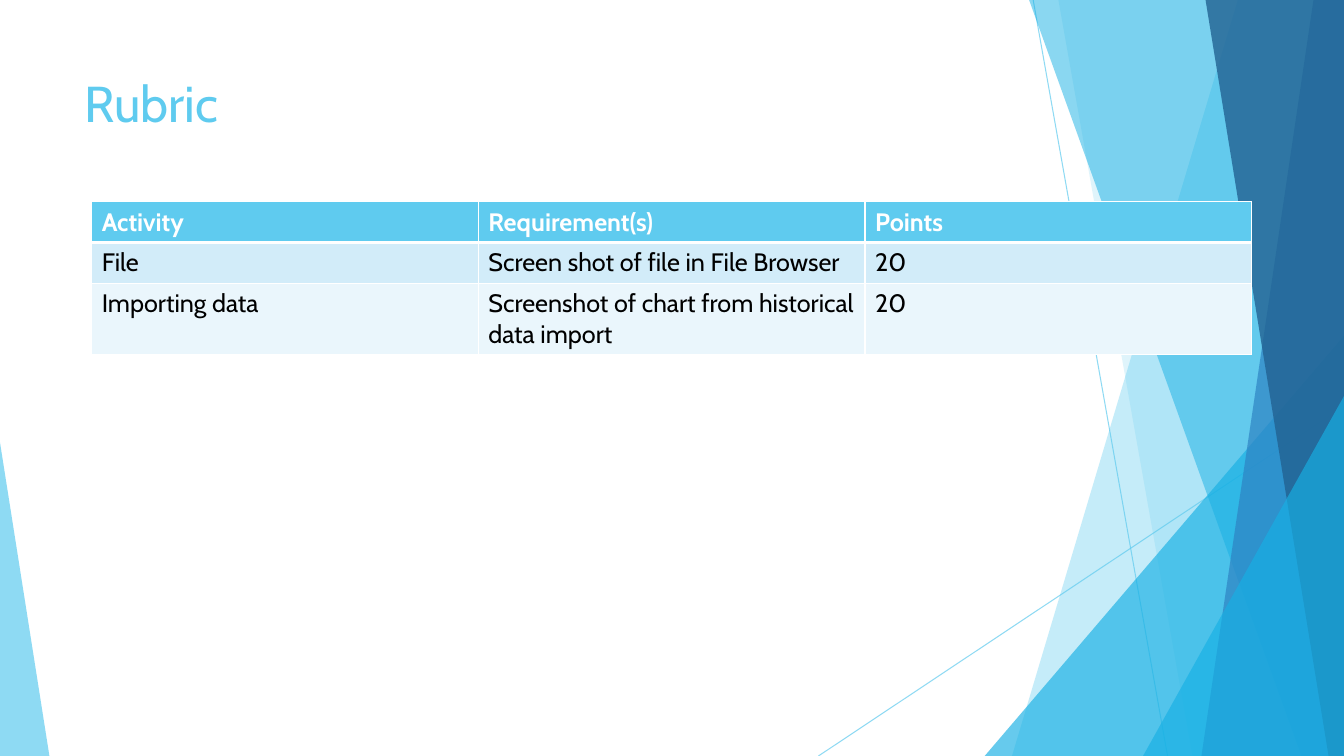
from pptx import Presentation
from pptx.dml.color import RGBColor
from pptx.enum.shapes import MSO_CONNECTOR, MSO_SHAPE
from pptx.enum.text import MSO_ANCHOR
from pptx.oxml.ns import qn
from pptx.util import Pt
from lxml import etree

STRAIGHT = MSO_CONNECTOR.STRAIGHT
TRIANGLE = MSO_SHAPE.ISOSCELES_TRIANGLE
TOP = MSO_ANCHOR.TOP

SKY = RGBColor(0x5F, 0xCB, 0xEF)
CYAN = RGBColor(0x17, 0xB0, 0xE4)
BLUE = RGBColor(0x2E, 0x83, 0xC3)
NAVY = RGBColor(0x22, 0x62, 0x92)
PALE = RGBColor(0xD2, 0xEC, 0xF9)
PALER = RGBColor(0xEA, 0xF6, 0xFC)
WHITE = RGBColor(0xFF, 0xFF, 0xFF)
BLACK = RGBColor(0, 0, 0)
FONT = "Cabin"
WIDTH, HEIGHT = 960, 540

TITLE = "Rubric"
RUBRIC = [
    ("Activity", "Requirement(s)", "Points"),
    ("File", "Screen shot of file in File Browser", "20"),
    ("Importing data", "Screenshot of chart from historical data import", "20"),
]
ROW_FILLS = [SKY, PALE, PALER]
ROW_HEIGHTS = [29.2, 29.2, 51]
TABLE_LEFT, TABLE_TOP, COLUMN_WIDTH = 65.5, 144, 276.2

RAYS = [((738, 0), (834, HEIGHT)), ((WIDTH, 290.2), (584.6, HEIGHT))]
FACETS = [
    ("band", 884.2, 722.9, SKY, 36),
    ("band", 756, 851.8, SKY, 20),
    ("right", 703.4, 239.8, CYAN, 66),
    ("band", 735.1, 929.5, CYAN, 50),
    ("band", 938.2, 858.2, BLUE, 70),
    ("band", 861.1, 949, NAVY, 80),
    ("right", 816.5, 283, CYAN, 66),
    ("left", 35.3, 316.1, SKY, 70),
]


def set_opacity(shape, percent):
    for color in shape.element.iter(qn("a:srgbClr")):
        etree.SubElement(color, qn("a:alpha"), val=str(percent * 1000))


def add_ray(page, start, end):
    ray = page.shapes.add_connector(STRAIGHT, *map(Pt, start + end))
    ray.line.color.rgb = SKY
    ray.line.width = Pt(0.75)
    etree.SubElement(ray.element.spPr, qn("a:effectLst"))
    set_opacity(ray, 70)


def add_band(page, top_x, bottom_x):
    builder = page.shapes.build_freeform(Pt(top_x), 0)
    corners = [(WIDTH, 0), (WIDTH, HEIGHT), (bottom_x, HEIGHT)]
    builder.add_line_segments([(Pt(x), Pt(y)) for x, y in corners])
    return builder.convert_to_shape()


def add_corner(page, side, inner_x, top):
    left, right = (inner_x, WIDTH) if side == "right" else (0, inner_x)
    corner = page.shapes.add_shape(
        TRIANGLE, Pt(left), Pt(top), Pt(right - left), Pt(HEIGHT - top))
    corner.adjustments[0] = 1 if side == "right" else 0
    return corner


def add_facet(page, kind, first, second, color, opacity):
    if kind == "band":
        facet = add_band(page, first, second)
    else:
        facet = add_corner(page, kind, first, second)
    facet.shadow.inherit = False
    facet.fill.solid()
    facet.fill.fore_color.rgb = color
    facet.line.fill.background()
    set_opacity(facet, opacity)


def write(frame, text, size, color, bold=False):
    frame.text = text
    for span in frame.paragraphs[0].runs:
        span.font.name = FONT
        span.font.size = Pt(size)
        span.font.bold = bold
        span.font.color.rgb = color


def add_borders(cell, top_width, bottom_width):
    properties = cell._tc.get_or_add_tcPr()
    widths = {"lnL": 1, "lnR": 1, "lnT": top_width, "lnB": bottom_width}
    for position, (tag, width) in enumerate(widths.items()):
        line = etree.Element(qn("a:" + tag), w=str(Pt(width)))
        fill = etree.SubElement(line, qn("a:solidFill"))
        etree.SubElement(fill, qn("a:srgbClr"), val=str(WHITE))
        properties.insert(position, line)


def add_rubric(page):
    columns = len(RUBRIC[0])
    table = page.shapes.add_table(
        len(RUBRIC), columns, Pt(TABLE_LEFT), Pt(TABLE_TOP),
        Pt(COLUMN_WIDTH * columns), Pt(sum(ROW_HEIGHTS))).table
    for column in table.columns:
        column.width = Pt(COLUMN_WIDTH)
    for r, texts in enumerate(RUBRIC):
        table.rows[r].height = Pt(ROW_HEIGHTS[r])
        header = r == 0
        for c, text in enumerate(texts):
            cell = table.cell(r, c)
            cell.fill.solid()
            cell.fill.fore_color.rgb = ROW_FILLS[r]
            write(cell.text_frame, text, 18, WHITE if header else BLACK, header)
            add_borders(cell, 3 if r == 1 else 1, 3 if header else 1)


def main():
    deck = Presentation()
    deck.slide_width, deck.slide_height = Pt(WIDTH), Pt(HEIGHT)
    page = deck.slides.add_slide(deck.slide_layouts[6])
    for start, end in RAYS:
        add_ray(page, start, end)
    for facet in FACETS:
        add_facet(page, *facet)
    box = page.shapes.add_textbox(Pt(53.3), Pt(48), Pt(676.8), Pt(104))
    box.text_frame.word_wrap = True
    box.text_frame.vertical_anchor = TOP
    write(box.text_frame, TITLE, 36, SKY)
    add_rubric(page)
    deck.save("out.pptx")


if __name__ == "__main__":
    main()
